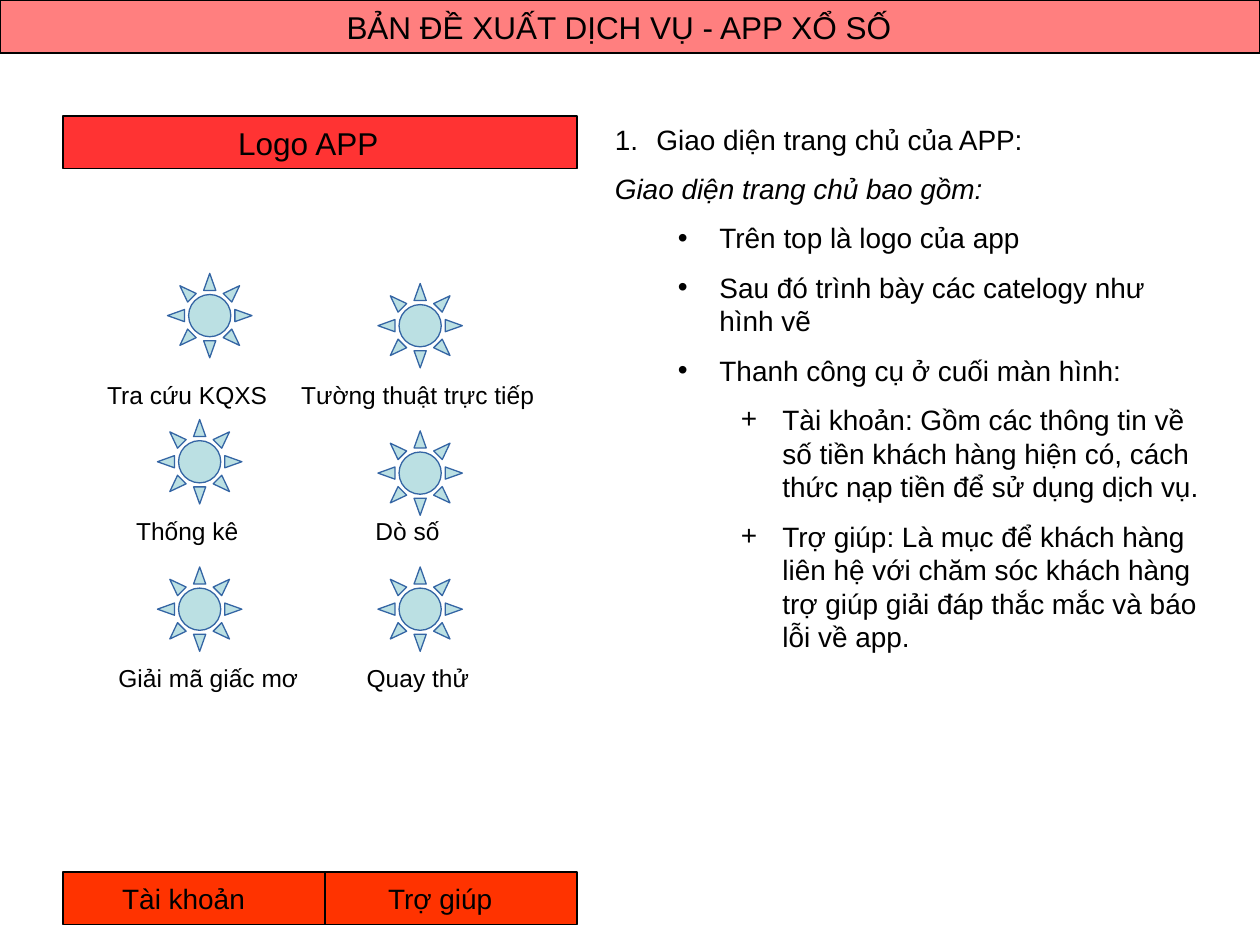
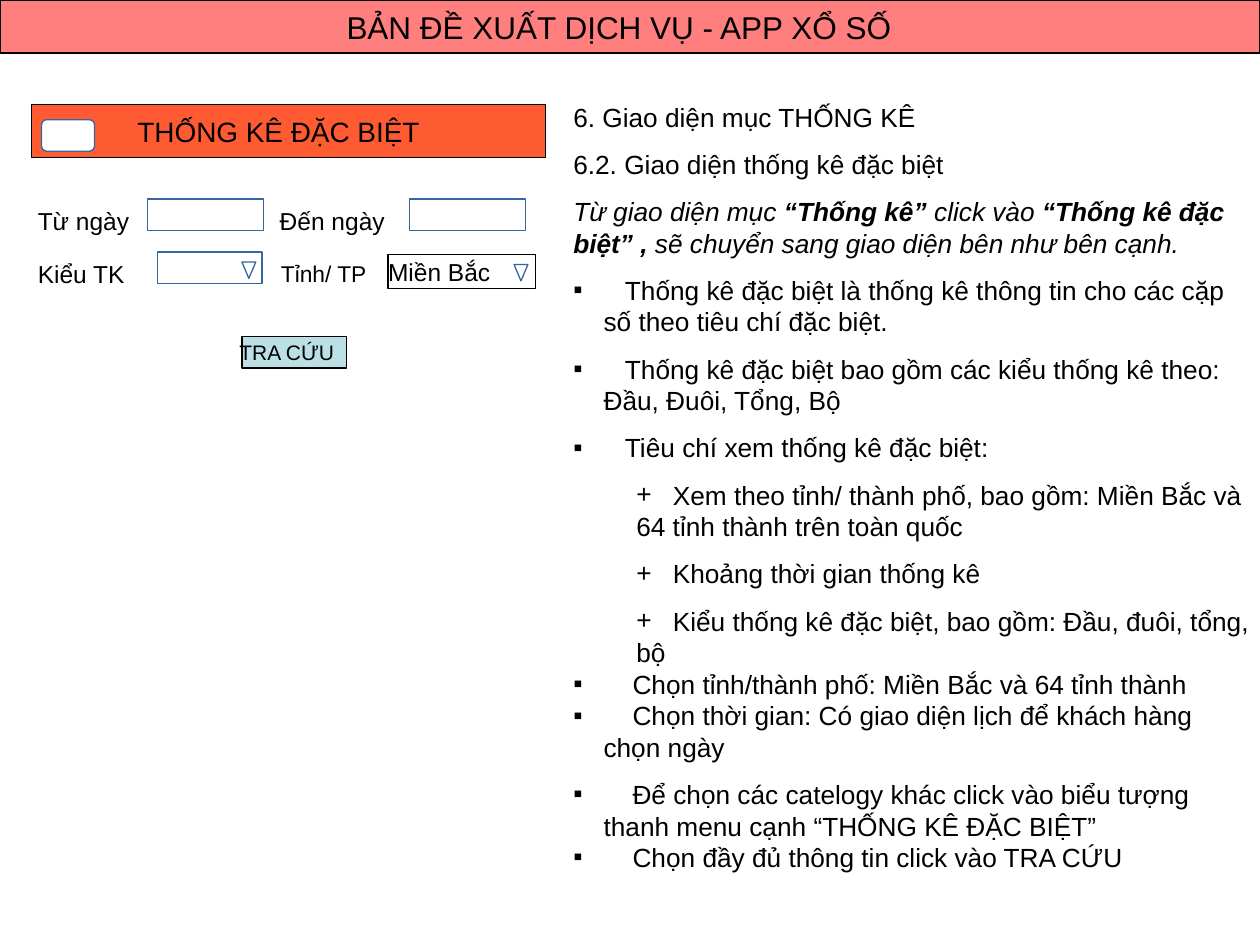
"""Build the two-slide service proposal for a lottery app."""
from pptx import Presentation
from pptx import util as u
from pptx.dml.color import RGBColor
from pptx.enum import shapes, text
from pptx.oxml.ns import qn
from lxml import etree

BLACK = RGBColor(0x00, 0x00, 0x00)
WHITE = RGBColor(0xFF, 0xFF, 0xFF)
RED = RGBColor(0xFF, 0x00, 0x00)
ORANGE = RGBColor(0xFF, 0x33, 0x00)
PALE_BLUE = RGBColor(0xBB, 0xE0, 0xE3)
OUTLINE = RGBColor(0x34, 0x65, 0xA4)
FONT = "Arial"
HEADING = "BẢN ĐỀ XUẤT DỊCH VỤ - APP XỔ SỐ"
BAR_HEIGHT = 0.42
SHAPE = shapes.MSO_SHAPE


def write(para, words, size=14, bold=False, italic=False):
    """Add one formatted span to a paragraph."""
    span = para.add_run()
    span.text = words
    span.font.name = FONT
    span.font.size = u.Pt(size)
    span.font.bold = bold
    span.font.italic = italic
    span.font.color.rgb = BLACK


def item(words, bullet=None, margin=0, hang=0, gap=0, level=0, before=9, italic=False):
    """Describe one paragraph of a list."""
    spans = [(words, False)] if isinstance(words, str) else words
    return dict(spans=spans, bullet=bullet, margin=margin, hang=hang, gap=gap,
                level=level, before=before, italic=italic)


class Sketch:
    """Hold the shared style and the slide being drawn."""

    def __init__(self):
        self.deck = Presentation()
        self.deck.slide_width = u.Inches(10)
        self.deck.slide_height = u.Inches(7.5)
        self.page = None

    def start(self):
        """Add a slide with the heading band."""
        self.page = self.deck.slides.add_slide(self.deck.slide_layouts[1])
        title = self.page.shapes.title
        self.place(title, 0, 0, 10, BAR_HEIGHT)
        self.paint(title, RED, BLACK, 0.75, 50)
        self.fill_text(title, HEADING, 18, 2.75)

    def place(self, box, left, top, width, height):
        """Move and size a placeholder."""
        box.left, box.top = u.Inches(left), u.Inches(top)
        box.width, box.height = u.Inches(width), u.Inches(height)

    def paint(self, box, fill, line, weight, opacity=100):
        """Set the fill, its opacity and the outline."""
        box.fill.solid()
        box.fill.fore_color.rgb = fill
        box.line.color.rgb = line
        box.line.width = u.Pt(weight)
        if opacity < 100:
            colour = box.fill._xPr.find(qn("a:solidFill"))[0]
            etree.SubElement(colour, qn("a:alpha"), val=str(opacity * 1000))

    def frame(self, box, left=0, inset=0, anchor=text.MSO_ANCHOR.MIDDLE):
        """Prepare the text frame of a box."""
        frame = box.text_frame
        frame.word_wrap = True
        frame.auto_size = text.MSO_AUTO_SIZE.NONE
        frame.vertical_anchor = anchor
        frame.margin_left = u.Inches(left)
        frame.margin_top = frame.margin_right = frame.margin_bottom = u.Inches(inset)
        return frame

    def fill_text(self, box, words, size, left=0):
        """Write one left-aligned line in a box."""
        para = self.frame(box, left).paragraphs[0]
        para.alignment = text.PP_ALIGN.LEFT
        write(para, words, size)

    def symbol(self, kind, left, top, width, height, fill=WHITE,
               line=OUTLINE, weight=0, opacity=100):
        """Draw a preset shape."""
        box = self.page.shapes.add_shape(kind, u.Inches(left), u.Inches(top),
                                         u.Inches(width), u.Inches(height))
        box.shadow.inherit = False
        self.paint(box, fill, line, weight, opacity)
        return box

    def panel(self, words, size, indent, left, top, width, height=BAR_HEIGHT,
              fill=ORANGE, opacity=100):
        """Draw a black-edged rectangle with its words."""
        box = self.symbol(SHAPE.RECTANGLE, left, top, width, height, fill,
                          BLACK, 0.75, opacity)
        self.fill_text(box, words, size, indent)

    def field(self, left, top, width):
        """Draw an empty input field."""
        self.symbol(SHAPE.RECTANGLE, left, top, width, 0.25)

    def arrow(self, left, top):
        """Draw the mark of a drop-down list."""
        self.symbol(SHAPE.FLOWCHART_MERGE, left, top, 0.11, 0.13)

    def label(self, words, left, top, width, size=14):
        """Add a line of free text."""
        box = self.page.shapes.add_textbox(u.Inches(left), u.Inches(top),
                                           u.Inches(width), u.Inches(0.32))
        self.fill_text(box, words, size)

    def description(self, items, size, left, top, width, height):
        """Fill the body placeholder with the description."""
        body = self.page.placeholders[1]
        self.place(body, left, top, width, height)
        frame = self.frame(body, 0.05, 0.05, text.MSO_ANCHOR.TOP)
        for index, entry in enumerate(items):
            para = frame.add_paragraph() if index else frame.paragraphs[0]
            para.level = entry["level"]
            self.bullet(para, entry)
            para.space_before = u.Pt(entry["before"] if index else 0)
            para.alignment = text.PP_ALIGN.LEFT
            para.font.size = u.Pt(size)
            lead = "\t" if entry["gap"] else ""
            for words, bold in entry["spans"]:
                write(para, lead + words, size, bold, entry["italic"])
                lead = ""

    def bullet(self, para, entry):
        """Set the indents, bullet and tab stops of a paragraph."""
        props = para._p.get_or_add_pPr()
        props.set("marL", str(u.Inches(entry["margin"])))
        props.set("indent", str(-u.Inches(entry["hang"])))
        mark = entry["bullet"]
        if mark is None:
            etree.SubElement(props, qn("a:buNone"))
        else:
            etree.SubElement(props, qn("a:buFont"), typeface=FONT)
            if mark == "1.":
                etree.SubElement(props, qn("a:buAutoNum"), type="arabicPeriod")
            else:
                etree.SubElement(props, qn("a:buChar"), char=mark)
        if entry["gap"]:
            tabs = etree.SubElement(props, qn("a:tabLst"))
            for stop in (entry["gap"], entry["margin"] + entry["gap"]):
                etree.SubElement(tabs, qn("a:tab"), pos=str(u.Inches(stop)), algn="l")


def home_page(sketch):
    """Draw the home screen of the app."""
    sketch.start()
    sketch.panel("Logo APP", 18, 1.39, 0.5, 0.92, 4.08, fill=RED, opacity=80)
    categories = [
        ("Tra cứu KQXS", 0.85, 2.97, 1.38, 1.33, 2.17),
        ("Tường thuật trực tiếp", 2.39, 2.97, 1.96, 3, 2.25),
        ("Thống kê", 1.08, 4.05, 0.92, 1.25, 3.33),
        ("Dò số", 2.98, 4.05, 0.62, 3, 3.42),
        ("Giải mã giấc mơ", 0.94, 5.22, 1.54, 1.25, 4.5),
        ("Quay thử", 2.91, 5.22, 0.92, 3, 4.5),
    ]
    for words, left, top, width, sun_left, sun_top in categories:
        sketch.label(words, left, top, width)
        sketch.symbol(SHAPE.SUN, sun_left, sun_top, 0.67, 0.67, PALE_BLUE)
    sketch.panel("Tài khoản", 16, 0.47, 0.5, 6.92, 2.08)
    sketch.panel("Trợ giúp", 16, 0.5, 2.58, 6.92, 2)
    dot = dict(bullet="•", margin=0.83, hang=0.33, level=1)
    plus = dict(bullet="+", margin=1.33, hang=0.33, level=2)
    sketch.description([
        item("Giao diện trang chủ của APP:", "1.", 0.33, 0.33),
        item("Giao diện trang chủ bao gồm:", margin=0.38, hang=0.38, italic=True),
        item("Trên top là logo của app", **dot),
        item("Sau đó trình bày các catelogy như hình vẽ", **dot),
        item("Thanh công cụ ở cuối màn hình:", **dot),
        item("Tài khoản: Gồm các thông tin về số tiền khách hàng hiện có, "
             "cách thức nạp tiền để sử dụng dịch vụ.", **plus),
        item("Trợ giúp: Là mục để khách hàng liên hệ với chăm sóc khách hàng "
             "trợ giúp giải đáp thắc mắc và báo lỗi về app.", **plus),
    ], 16, 4.83, 0.92, 4.75, 4.39)


def statistics_page(sketch):
    """Draw the special statistics screen."""
    sketch.start()
    sketch.panel("THỐNG KÊ ĐẶC BIỆT", 16, 0.84, 0.25, 0.83, 4.08, opacity=80)
    sketch.symbol(SHAPE.ROUNDED_RECTANGLE, 0.33, 0.95, 0.42, 0.25)
    sketch.label("Từ ngày", 0.3, 1.59, 0.9)
    sketch.label("Đến ngày", 2.22, 1.59, 1)
    sketch.label("Kiểu TK", 0.3, 2.01, 0.9)
    sketch.label("Tỉnh/ TP", 2.23, 2.01, 0.85, 13)
    sketch.field(1.17, 1.58, 0.92)
    sketch.field(3.25, 1.58, 0.92)
    sketch.field(1.25, 2, 0.83)
    sketch.panel("Miền Bắc", 14, 0, 3.08, 2.02, 1.17, 0.27, WHITE)
    sketch.arrow(1.92, 2.08)
    sketch.arrow(4.08, 2.1)
    sketch.panel("TRA CỨU", 12, -0.02, 1.92, 2.67, 0.83, 0.25, PALE_BLUE)
    square = dict(bullet="▪", margin=0.24, hang=0.24)
    plus = dict(bullet="+", margin=0.5, gap=0.29, level=1)
    sketch.description([
        item("6. Giao diện mục THỐNG KÊ"),
        item("6.2. Giao diện thống kê đặc biệt"),
        item([("Từ giao diện mục ", False), ("“Thống kê”", True),
              (" click vào", False), (" “Thống kê đặc biệt” , ", True),
              ("sẽ chuyển sang giao diện bên như bên cạnh.", False)], italic=True),
        item("Thống kê đặc biệt là thống kê thông tin cho các cặp số "
             "theo tiêu chí đặc biệt.", gap=0.17, **square),
        item("Thống kê đặc biệt bao gồm các kiểu thống kê theo: "
             "Đầu, Đuôi, Tổng, Bộ", gap=0.17, **square),
        item("Tiêu chí xem thống kê đặc biệt:", gap=0.17, **square),
        item("Xem theo tỉnh/ thành phố, bao gồm: Miền Bắc và "
             "64 tỉnh thành trên toàn quốc", **plus),
        item("Khoảng thời gian thống kê", **plus),
        item("Kiểu thống kê đặc biệt, bao gồm: Đầu, đuôi, tổng, bộ", **plus),
        item("Chọn tỉnh/thành phố: Miền Bắc và 64 tỉnh thành",
             gap=0.23, before=0, **square),
        item("Chọn thời gian: Có giao diện lịch để khách hàng chọn ngày",
             gap=0.23, before=0, **square),
        item("Để chọn các catelogy khác click vào biểu tượng thanh menu "
             "cạnh “THỐNG KÊ ĐẶC BIỆT”", gap=0.23, **square),
        item("Chọn đầy đủ thông tin click vào TRA CỨU",
             gap=0.23, before=0, **square),
    ], 15, 4.5, 0.75, 5.5, 5.94)


def main():
    """Draw both slides and save the deck."""
    sketch = Sketch()
    home_page(sketch)
    statistics_page(sketch)
    sketch.deck.save("out.pptx")


if __name__ == "__main__":
    main()
